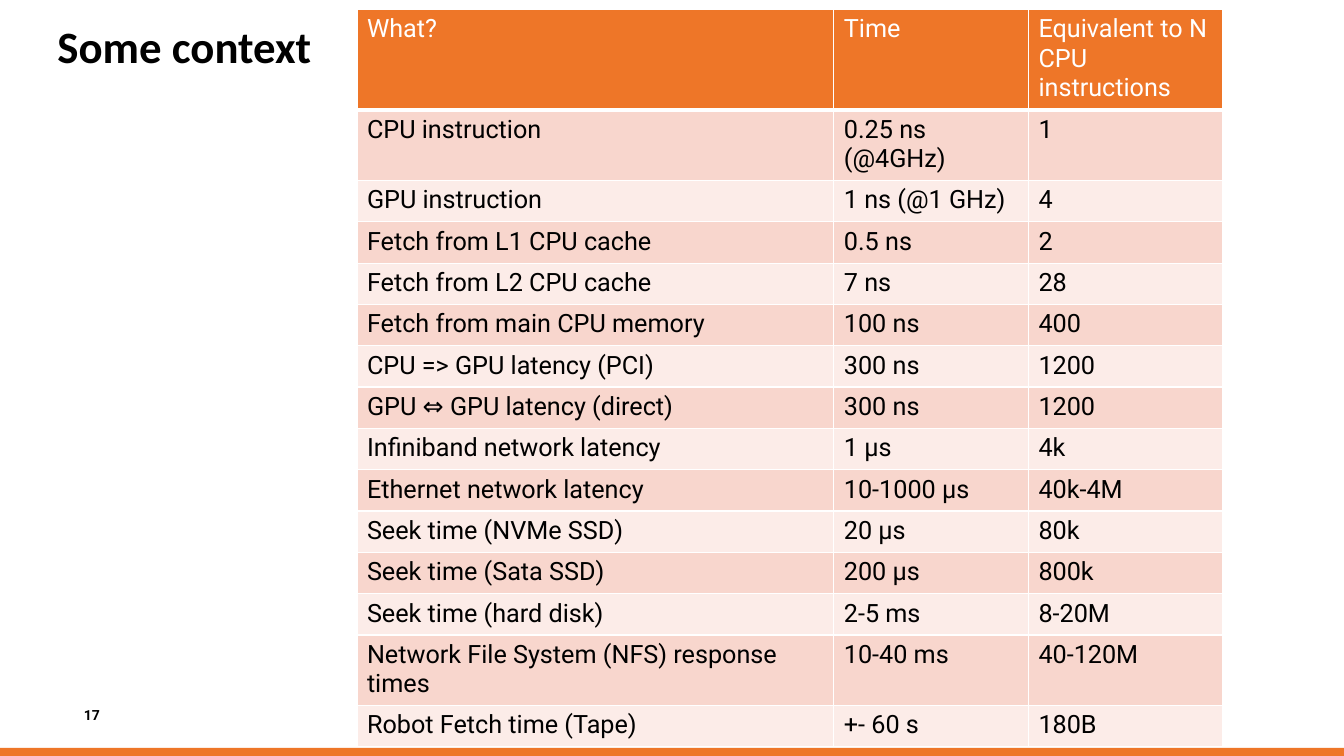
"""Build a slide comparing hardware latencies with CPU instruction counts."""
import pptx
import pptx.dml.color
import pptx.enum.shapes
import pptx.enum.text
import pptx.oxml
import pptx.oxml.ns
import pptx.util
from pptx.util import Inches

ORANGE, PINK, PALE, WHITE, BLACK = "EE7628", "F8D6CD", "FCECE8", "FFFFFF", "000000"


def paint(fill, color):
    fill.solid()
    fill.fore_color.rgb = pptx.dml.color.RGBColor.from_string(color)


def write(frame, text, size=18, font="Roboto", color=BLACK, bold=False, align=None, spacing=None):
    paragraph = frame.paragraphs[0]
    paragraph.alignment = align
    paragraph.line_spacing = spacing
    run = paragraph.add_run()
    run.text = text
    run.font.size = pptx.util.Pt(size)
    run.font.name = font
    run.font.bold = bold
    paint(run.font.fill, color)


deck = pptx.Presentation()
deck.slide_width, deck.slide_height = Inches(13.33), Inches(7.5)
slide = deck.slides.add_slide(deck.slide_layouts[6])
paint(slide.background.fill, WHITE)

footer_band = slide.shapes.add_shape(
    pptx.enum.shapes.MSO_SHAPE.RECTANGLE, 0, Inches(7.42), Inches(13.33), Inches(0.08))
footer_band.shadow.inherit = False
paint(footer_band.fill, ORANGE)
footer_band.line.fill.background()

title = slide.shapes.add_textbox(Inches(0.57), Inches(0.17), Inches(12.19), Inches(0.66)).text_frame
page_number = slide.shapes.add_textbox(Inches(0.56), Inches(6.97), Inches(0.43), Inches(0.24)).text_frame
for frame in (title, page_number):
    frame.word_wrap = True
    frame.margin_left = frame.margin_right = frame.margin_top = frame.margin_bottom = 0
title.margin_top = Inches(0.08)
page_number.vertical_anchor = pptx.enum.text.MSO_ANCHOR.MIDDLE
write(title, "Some context", size=32, font="Calibri", bold=True, spacing=0.9)
write(page_number, "17", size=10, bold=True, align=pptx.enum.text.PP_ALIGN.RIGHT)

latencies = [
    ("What?", "Time", "Equivalent to N CPU instructions"),
    ("CPU instruction", "0.25 ns (@4GHz)", "1"),
    ("GPU instruction", "1 ns (@1 GHz)", "4"),
    ("Fetch from L1 CPU cache", "0.5 ns", "2"),
    ("Fetch from L2 CPU cache", "7 ns", "28"),
    ("Fetch from main CPU memory", "100 ns", "400"),
    ("CPU => GPU latency (PCI)", "300 ns", "1200"),
    ("GPU ⇔ GPU latency (direct)", "300 ns", "1200"),
    ("Infiniband network latency", "1 μs", "4k"),
    ("Ethernet network latency", "10-1000 μs", "40k-4M"),
    ("Seek time (NVMe SSD)", "20 μs", "80k"),
    ("Seek time (Sata SSD)", "200 μs", "800k"),
    ("Seek time (hard disk)", "2-5 ms", "8-20M"),
    ("Network File System (NFS) response times", "10-40 ms", "40-120M"),
    ("Robot Fetch time (Tape)", "+- 60 s", "180B"),
]
column_widths = (4.73, 1.93, 1.93)
row_height = Inches(0.41)
latency_table = slide.shapes.add_table(
    len(latencies), len(column_widths), Inches(3.54), Inches(0.09),
    Inches(sum(column_widths)), row_height * len(latencies)).table
for column, width in zip(latency_table.columns, column_widths):
    column.width = Inches(width)

for row, entries in enumerate(latencies):
    latency_table.rows[row].height = row_height
    band = ORANGE if row == 0 else PINK if row % 2 else PALE
    for col, entry in enumerate(entries):
        cell = latency_table.cell(row, col)
        write(cell.text_frame, entry, color=WHITE if row == 0 else BLACK)
        cell_format = cell._tc.get_or_add_tcPr()
        for side in "LRTB":
            points = 3 if row == 0 and side == "B" else 1
            cell_format.append(pptx.oxml.parse_xml(
                f'<a:ln{side} {pptx.oxml.ns.nsdecls("a")} w="{pptx.util.Pt(points)}">'
                f'<a:solidFill><a:srgbClr val="{WHITE}"/></a:solidFill></a:ln{side}>'))
        paint(cell.fill, band)

deck.save("out.pptx")
